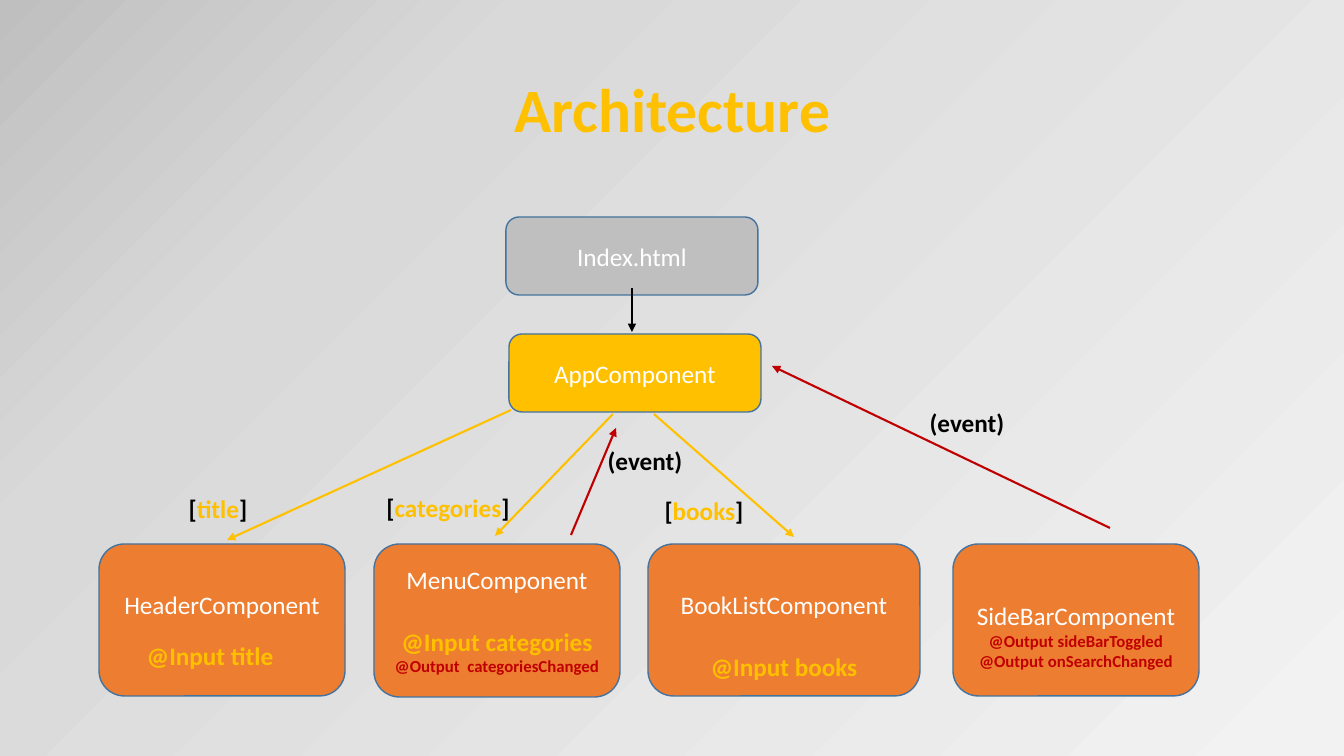
"""Build the Architecture slide: a component tree with inputs and events."""
from pptx import Presentation
from pptx.dml.color import RGBColor
from pptx.enum.shapes import MSO_CONNECTOR as CONN, MSO_SHAPE as SHAPE
from pptx.enum.text import MSO_ANCHOR as ANCHOR, PP_ALIGN as ALIGN
from pptx.oxml import parse_xml
from pptx.oxml.ns import nsdecls
from pptx.oxml.xmlchemy import OxmlElement
from pptx.util import Pt

PX = 914400 / 100.8
GOLD = RGBColor(0xFF, 0xC0, 0x00)
ORANGE = RGBColor(0xED, 0x7D, 0x31)
GRAY = RGBColor(0xBF, 0xBF, 0xBF)
BLUE = RGBColor(0x43, 0x73, 0x9E)
RED = RGBColor(0xC0, 0x00, 0x00)
WHITE = RGBColor(0xFF, 0xFF, 0xFF)
BLACK = RGBColor(0x00, 0x00, 0x00)
LINE = 31


def px(*values):
    return [round(v * PX) for v in values]


def write(p, text, size, color, bold):
    p.alignment = ALIGN.CENTER
    r = p.add_run()
    r.text = text
    r.font.name, r.font.size, r.font.bold = "Calibri", Pt(size), bold
    r.font.color.rgb = color


prs = Presentation()
prs.slide_width, prs.slide_height = px(1344, 756)
s = prs.slides.add_slide(prs.slide_layouts[6])

stops = [(1, "F2F2F2"), (74, "D9D9D9"), (100, "BFBFBF"), (100, "A6A6A6")]
gs = "".join(f'<a:gs pos="{pos * 1000}"><a:srgbClr val="{c}"/></a:gs>' for pos, c in stops)
s.element.cSld.insert(0, parse_xml(
    f'<p:bg {nsdecls("p", "a")}><p:bgPr><a:gradFill rotWithShape="1"><a:gsLst>{gs}</a:gsLst>'
    '<a:path path="circle"><a:fillToRect l="100000" t="100000"/></a:path>'
    '</a:gradFill><a:effectLst/></p:bgPr></p:bg>'))

title = s.shapes.add_textbox(*px(93, 40, 1159, 146))
tf = title.text_frame
tf.word_wrap = True
tf.vertical_anchor = ANCHOR.MIDDLE
tf.paragraphs[0].line_spacing = 0.9
write(tf.paragraphs[0], "Architecture", 44, GOLD, True)

boxes = [
    (509, 334, 252, 78, GOLD, 0, 0, [("AppComponent", 18, WHITE, 0)]),
    (648, 544, 272, 152, ORANGE, LINE, 0,
     [("BookListComponent", 18, WHITE, 0), ("@Input books", 18, GOLD, LINE)]),
    (374, 544, 246, 153, ORANGE, 0, 0,
     [("MenuComponent", 18, WHITE, 0), ("@Input categories", 18, GOLD, LINE),
      ("@Output  categoriesChanged", 12, RED, 0)]),
    (506, 217, 252, 78, GRAY, 0, 0, [("Index.html", 18, WHITE, 0)]),
    (99, 544, 246, 152, ORANGE, 0, LINE, [("HeaderComponent", 18, WHITE, 0)]),
    (953, 544, 246, 152, ORANGE, LINE, 0,
     [("SideBarComponent", 18, WHITE, 0), ("@Output sideBarToggled", 12, RED, 0),
      ("@Output onSearchChanged", 12, RED, 0)]),
]
for x, y, w, h, fill, top, bottom, lines in boxes:
    sp = s.shapes.add_shape(SHAPE.ROUNDED_RECTANGLE, *px(x, y, w, h))
    sp.shadow.inherit = False
    sp.fill.solid()
    sp.fill.fore_color.rgb = fill
    sp.line.color.rgb = BLUE
    sp.line.width = Pt(1)
    tf = sp.text_frame
    tf.word_wrap = True
    tf.vertical_anchor = ANCHOR.MIDDLE
    tf.margin_top, tf.margin_bottom = px(5 + top, 5 + bottom)
    for i, (text, size, color, gap) in enumerate(lines):
        p = tf.add_paragraph() if i else tf.paragraphs[0]
        p.space_before = px(gap)[0]
        write(p, text, size, color, color != WHITE)

arrows = [
    (654, 414, 794, 537, GOLD),
    (613, 414, 495, 536, GOLD),
    (632, 288, 632, 332, BLACK),
    (511, 410, 227, 540, GOLD),
    (1110, 528, 772, 366, RED),
    (571, 535, 616, 428, RED),
]
for x1, y1, x2, y2, color in arrows:
    c = s.shapes.add_connector(CONN.STRAIGHT, *px(x1, y1, x2, y2))
    c.line.color.rgb = color
    c.line.width = Pt(1.5)
    tail = OxmlElement("a:tailEnd")
    tail.set("type", "triangle")
    c.line._get_or_add_ln().append(tail)
    c._element.spPr.append(OxmlElement("a:effectLst"))

labels = [
    (178, 488, 80, [("[", BLACK), ("title", GOLD), ("]", BLACK)]),
    (376, 487, 144, [("[", BLACK), ("categories", GOLD), ("]", BLACK)]),
    (654, 490, 100, [("[", BLACK), ("books", GOLD), ("]", BLACK)]),
    (919, 402, 96, [("(event)", BLACK)]),
    (597, 440, 96, [("(event)", BLACK)]),
    (136, 635, 148, [("@Input title", GOLD)]),
]
for x, y, w, runs in labels:
    tf = s.shapes.add_textbox(*px(x, y, w, 40)).text_frame
    tf.word_wrap = False
    for text, color in runs:
        write(tf.paragraphs[0], text, 18, color, True)

prs.save("out.pptx")
